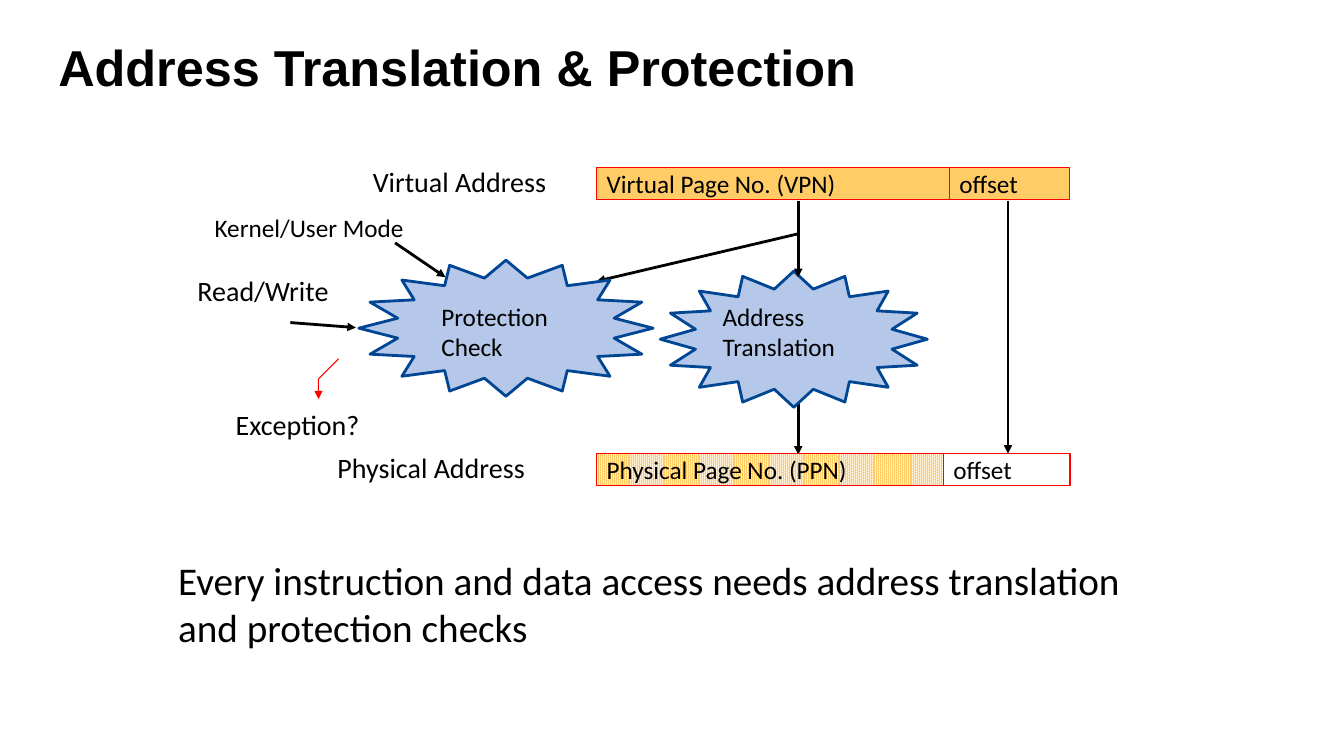
import pptx
import pptx.util
import pptx.dml.color
import pptx.enum.dml
import pptx.enum.shapes
import pptx.enum.text
import pptx.oxml.ns
from lxml import etree

Pt = pptx.util.Pt
qn = pptx.oxml.ns.qn
COLORS = {name: pptx.dml.color.RGBColor.from_string(value) for name, value in {
    "black": "000000", "white": "FFFFFF", "red": "FF0000",
    "amber": "FFCC66", "star": "B6C8E9", "star edge": "014693"}.items()}

deck = pptx.Presentation()
deck.slide_width, deck.slide_height = Pt(960), Pt(540)
page = deck.slides.add_slide(deck.slide_layouts[6])
shapes = page.shapes


def write(box, text, size=18, font="Calibri", bold=False, wrap=False,
          grow=True, middle=False, inset=(7.2, 3.6)):
    """Fill a shape with left-aligned text, one paragraph per line."""
    frame = box.text_frame
    frame.word_wrap = wrap
    frame.auto_size = (pptx.enum.text.MSO_AUTO_SIZE.SHAPE_TO_FIT_TEXT if grow
                       else pptx.enum.text.MSO_AUTO_SIZE.NONE)
    frame.vertical_anchor = (pptx.enum.text.MSO_ANCHOR.MIDDLE if middle
                             else pptx.enum.text.MSO_ANCHOR.TOP)
    frame.margin_left = frame.margin_right = Pt(inset[0])
    frame.margin_top = frame.margin_bottom = Pt(inset[1])
    for index, line in enumerate(text.split("\n")):
        para = frame.add_paragraph() if index else frame.paragraphs[0]
        para.alignment = pptx.enum.text.PP_ALIGN.LEFT
        span = para.add_run()
        span.text = line
        span.font.name, span.font.size, span.font.bold = font, Pt(size), bold
        span.font.color.rgb = COLORS["black"]


def style_arrow(arrow, color="black", width=2):
    """Colour a line, end it with a triangle and remove its shadow."""
    arrow.line.color.rgb = COLORS[color]
    arrow.line.width = Pt(width)
    properties = arrow._element.spPr
    etree.SubElement(properties.find(qn("a:ln")), qn("a:tailEnd"), type="triangle")
    etree.SubElement(properties, qn("a:effectLst"))


# Arrows that run behind the stars, then the stars, then the other arrows
vpn_x, offset_x = 570.2, 720
virtual_top, physical_top, field_height = 119.5, 324, 23
virtual_bottom = 143.3
layers = [
    [("arrow", vpn_x, 282.2, vpn_x, 324.7),
     ("arrow", vpn_x, 167, 426.2, 200.9)],
    [("star", 471.6, 193.7, 190.8, 97.2),
     ("star", 256.3, 185.8, 210.2, 97.2)],
    [("arrow", offset_x, virtual_bottom, offset_x, physical_top),
     ("arrow", vpn_x, virtual_bottom, vpn_x, 198),
     ("arrow", 207.4, 230.4, 254.2, 234),
     ("arrow", 282.2, 173.5, 318.2, 198)],
]
for kind, *place in sum(layers, []):
    place = [Pt(value) for value in place]
    if kind == "arrow":
        style_arrow(shapes.add_connector(
            pptx.enum.shapes.MSO_CONNECTOR.STRAIGHT, *place))
    else:
        star = shapes.add_shape(pptx.enum.shapes.MSO_SHAPE.STAR_16_POINT, *place)
        star.adjustments[0] = 0.375
        star.shadow.inherit = False
        star.fill.solid()
        star.fill.fore_color.rgb = COLORS["star"]
        star.line.color.rgb = COLORS["star edge"]
        star.line.width = Pt(2)

# Address fields
for text, left, top, width, fill in [
        ("Virtual Page No. (VPN)", 426.2, virtual_top, 253.4, "amber"),
        ("offset", 678.2, virtual_top, 85.7, "amber"),
        ("Physical Page No. (PPN)", 426.2, physical_top, 253.4, "pattern"),
        ("offset", 673.9, physical_top, 90.4, "white")]:
    field = shapes.add_shape(pptx.enum.shapes.MSO_SHAPE.RECTANGLE,
                             Pt(left), Pt(top), Pt(width), Pt(field_height))
    field.shadow.inherit = False
    if fill == "pattern":
        field.fill.patterned()
        field.fill.pattern = pptx.enum.dml.MSO_PATTERN.PERCENT_90
        field.fill.fore_color.rgb = COLORS["amber"]
        field.fill.back_color.rgb = COLORS["white"]
    else:
        field.fill.solid()
        field.fill.fore_color.rgb = COLORS[fill]
    field.line.color.rgb = COLORS["red"]
    field.line.width = Pt(1)
    write(field, text, grow=False, middle=True)

# Bent exception arrow
builder = shapes.build_freeform(Pt(241.9), Pt(256.3), scale=1.0)
builder.add_line_segments([(Pt(227.5), Pt(270.7)), (Pt(227.5), Pt(285.1))], close=False)
exception_arrow = builder.convert_to_shape()
exception_arrow.fill.background()
style_arrow(exception_arrow, color="red", width=0.75)

# Title, labels and closing statement
for text, left, top, width, height, style in [
        ("Address Translation & Protection", 34.6, 21.6, 885.6, 51.1,
         dict(size=36, font="Arial", bold=True, wrap=True, middle=True)),
        ("Virtual Address", 259.2, 113.8, 139, 31, dict(size=20)),
        ("Physical Address", 234, 318.2, 149, 31, dict(size=20)),
        ("Kernel/User Mode", 146.2, 148.3, 150.5, 28.8, {}),
        ("Read/Write", 133.9, 191.5, 137.5, 31, dict(size=20, wrap=True)),
        ("Exception?", 161.3, 287.3, 103.7, 31.7, dict(size=20)),
        ("Protection\nCheck", 308.2, 211.7, 91.4, 53.3, {}),
        ("Address\nTranslation", 507.6, 211, 97.9, 51.8, dict(inset=(8.6, 4.3))),
        ("Every instruction and data access needs address translation "
         "and protection checks", 120.2, 393.8, 720, 121,
         dict(size=28, wrap=True, grow=False))]:
    box = shapes.add_textbox(Pt(left), Pt(top), Pt(width), Pt(height))
    write(box, text, **style)

deck.save("out.pptx")
